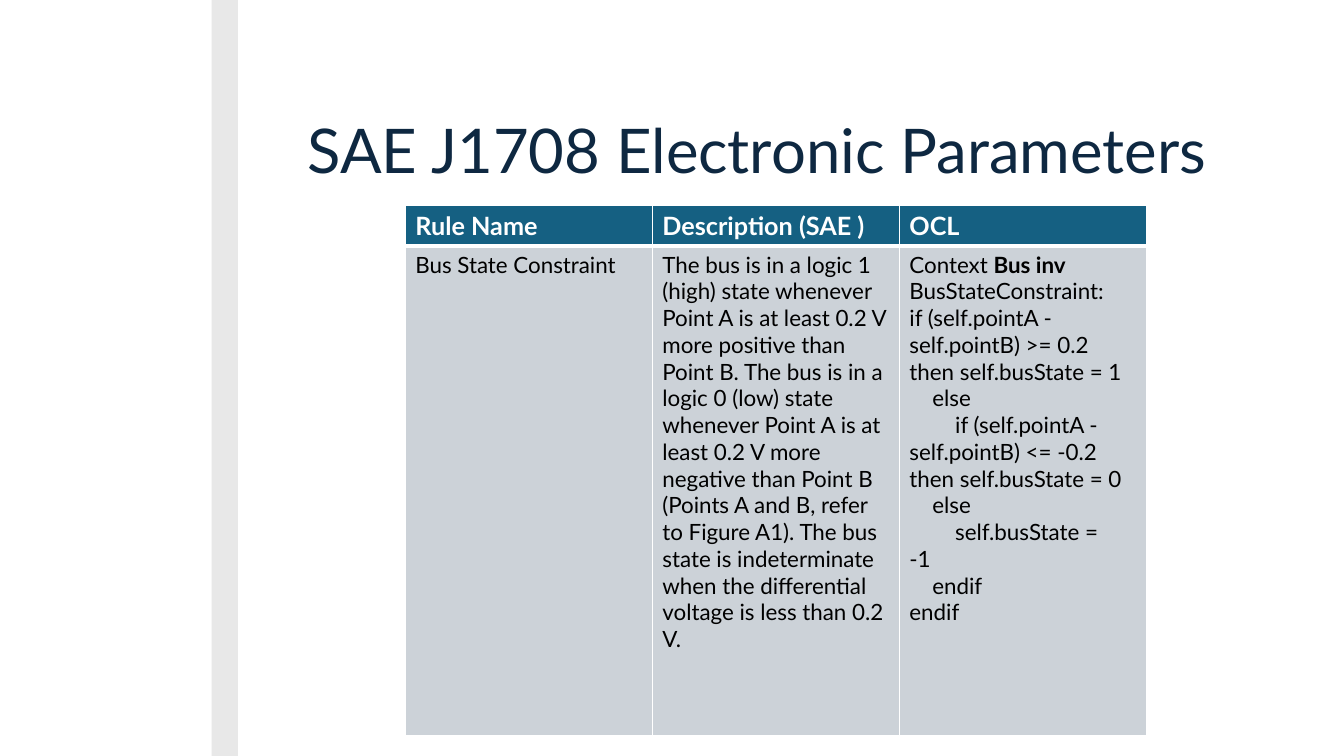
from lxml import etree
from pptx import Presentation
from pptx import util as u
from pptx.dml.color import RGBColor
from pptx.enum import shapes, text
from pptx.oxml.ns import qn

Inches, Pt = u.Inches, u.Pt
FONT = "Lato"
COLORS = {
    "band": "E8E8E8",
    "title": "0E2841",
    "header": "156082",
    "body": "CCD2D8",
    "white": "FFFFFF",
    "black": "000000",
}
HEADERS = ["Rule Name", "Description (SAE )", "OCL"]
DESCRIPTION = (
    "The bus is in a logic 1 (high) state whenever Point A is at least 0.2 V "
    "more positive than Point B. The bus is in a logic 0 (low) state whenever "
    "Point A is at least 0.2 V more negative than Point B (Points A and B, "
    "refer to Figure A1). The bus state is indeterminate when the differential "
    "voltage is less than 0.2 V."
)
OCL_LINES = [
    "if (self.pointA - self.pointB) >= 0.2 then self.busState = 1",
    "    else",
    "        if (self.pointA - self.pointB) <= -0.2 then self.busState = 0",
    "    else",
    "        self.busState =\n-1",
    "    endif",
    "endif",
]


def rgb(name):
    return RGBColor.from_string(COLORS[name])


def style(p, size, color, bold=None):
    p.font.name = FONT
    p.font.size = Pt(size)
    p.font.color.rgb = rgb(color)
    p.font.bold = bold


def add_band(s):
    sp = s.shapes.add_shape(shapes.MSO_SHAPE.RECTANGLE, Inches(2.1), 0,
                            Inches(0.26), Inches(7.5))
    sp.shadow.inherit = False
    sp.fill.solid()
    sp.fill.fore_color.rgb = rgb("band")
    sp.line.fill.background()


def set_title(s, wording):
    sp = s.shapes.title
    sp.left, sp.top = Inches(2.95), Inches(1.14)
    sp.width, sp.height = Inches(9.8), Inches(0.9)
    tf = sp.text_frame
    tf.text = wording
    tf.vertical_anchor = text.MSO_ANCHOR.TOP
    tf.auto_size = text.MSO_AUTO_SIZE.NONE
    p = tf.paragraphs[0]
    p.alignment = text.PP_ALIGN.LEFT
    p.line_spacing = 0.9
    style(p, 44, "title")


def format_cell(cell, fill, widths):
    tc_pr = cell._tc.get_or_add_tcPr()
    for side, width in zip("LRTB", widths):
        ln = etree.SubElement(tc_pr, qn(f"a:ln{side}"), w=str(Pt(width)))
        solid = etree.SubElement(ln, qn("a:solidFill"))
        etree.SubElement(solid, qn("a:srgbClr"), val=COLORS["white"])
    cell.fill.solid()
    cell.fill.fore_color.rgb = rgb(fill)


def write_ocl(tf):
    p = tf.paragraphs[0]
    for wording, bold in [("Context ", False), ("Bus inv ", True),
                          ("BusStateConstraint:", False)]:
        r = p.add_run()
        r.text = wording
        r.font.bold = bold
    for line in OCL_LINES:
        tf.add_paragraph().text = line


def add_rule_table(s):
    table = s.shapes.add_table(2, 3, Inches(4.02), Inches(2.04),
                               Inches(7.35), Inches(5.24)).table
    for row, height in zip(table.rows, [0.38, 4.86]):
        row.height = Inches(height)
    for col, header in enumerate(HEADERS):
        table.cell(0, col).text = header
    table.cell(1, 0).text = "Bus State Constraint"
    table.cell(1, 1).text = DESCRIPTION
    write_ocl(table.cell(1, 2).text_frame)

    row_styles = [("header", (1, 1, 1, 3), 18, "white", True),
                  ("body", (1, 1, 3, 1), 16, "black", False)]
    for row, (fill, widths, size, color, bold) in zip(table.rows, row_styles):
        for cell in row.cells:
            format_cell(cell, fill, widths)
            for p in cell.text_frame.paragraphs:
                style(p, size, color, bold)


def main():
    prs = Presentation()
    prs.slide_width, prs.slide_height = Inches(13.33), Inches(7.5)
    s = prs.slides.add_slide(prs.slide_layouts[5])
    add_band(s)
    set_title(s, "SAE J1708 Electronic Parameters")
    add_rule_table(s)
    prs.save("out.pptx")


if __name__ == "__main__":
    main()
